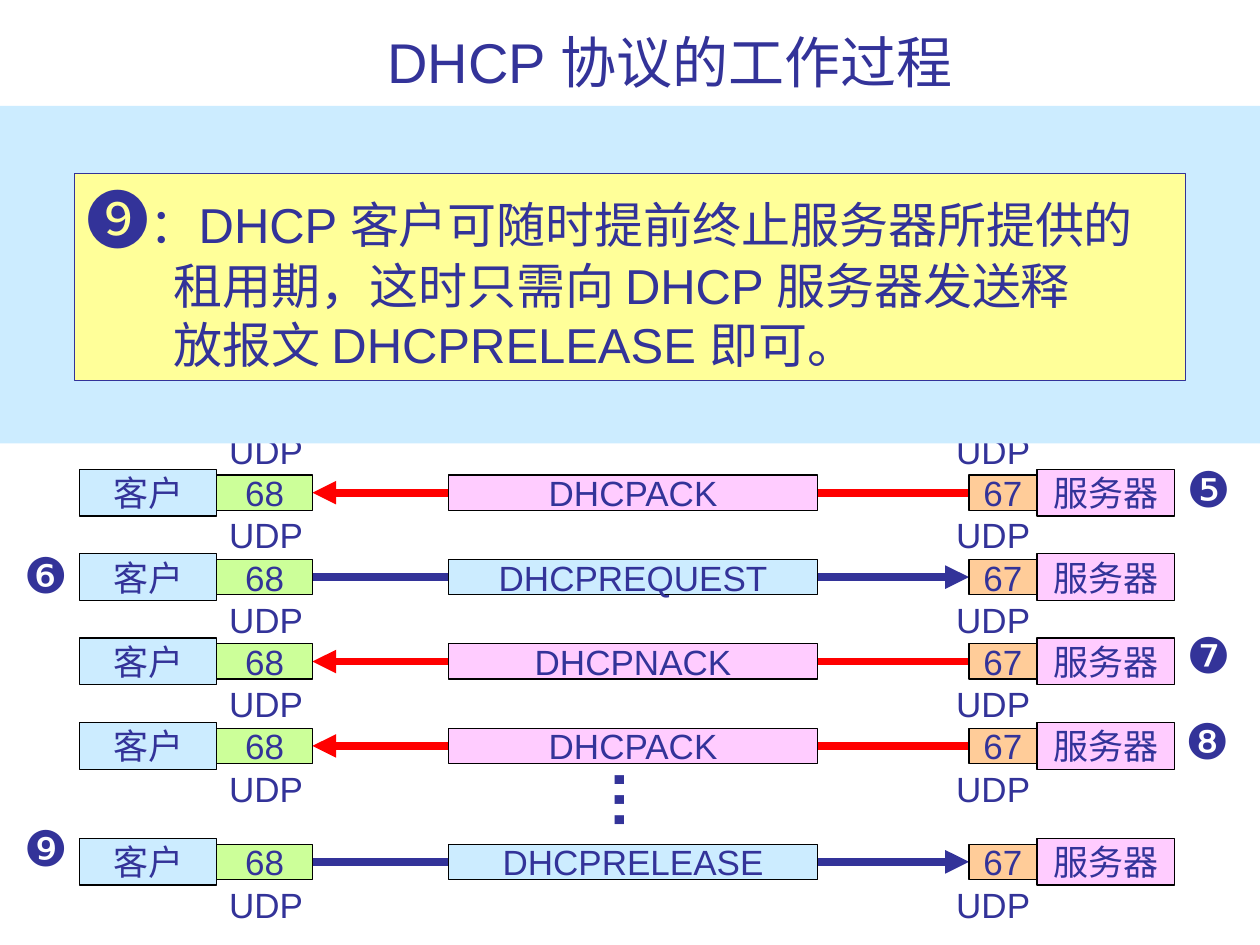
from lxml import etree
from pptx import Presentation
from pptx.dml.color import RGBColor
from pptx.enum.shapes import MSO_CONNECTOR, MSO_SHAPE
from pptx.enum.text import MSO_ANCHOR, MSO_AUTO_SIZE, PP_ALIGN
from pptx.oxml.ns import qn
from pptx.util import Inches, Pt

RECT, LINE = MSO_SHAPE.RECTANGLE, MSO_CONNECTOR.STRAIGHT
MIDDLE, BOTTOM = MSO_ANCHOR.MIDDLE, MSO_ANCHOR.BOTTOM
GROW, FIXED = MSO_AUTO_SIZE.SHAPE_TO_FIT_TEXT, MSO_AUTO_SIZE.NONE
LEFT, CENTER, JUSTIFY = PP_ALIGN.LEFT, PP_ALIGN.CENTER, PP_ALIGN.JUSTIFY

FONT = "Arial"
COLORS = {
    "ink": "333399", "black": "000000", "red": "FF0000",
    "blue": "CCECFF", "pink": "FFCCFF", "green": "CCFF99",
    "orange": "FFCC99", "yellow": "FFFF99",
}

# Centre of the row, message, whether the client sends it
ROWS = [
    (3.91, "DHCPACK", False),
    (4.58, "DHCPREQUEST", True),
    (5.25, "DHCPNACK", False),
    (5.92, "DHCPACK", False),
    (6.84, "DHCPRELEASE", True),
]
STEPS = [
    (9.32, 3.59, "❺"), (0.09, 4.27, "❻"), (9.32, 4.91, "❼"),
    (9.31, 5.59, "❽"), (0.09, 6.44, "❾"),
]
NOTE = [
    "：DHCP 客户可随时提前终止服务器所提供的",
    "租用期，这时只需向 DHCP 服务器发送释",
    "放报文 DHCPRELEASE 即可。",
]


def color(name):
    return RGBColor.from_string(COLORS[name])


def style(run, size, bold=False):
    font = run.font
    font.name, font.size, font.bold = FONT, Pt(size), bold
    font.color.rgb = color("ink")


def write(frame, text, size, align=LEFT, bold=False):
    frame.text = text
    para = frame.paragraphs[0]
    para.alignment = align
    style(para.runs[0], size, bold)


def add_label(slide, x, y, w, h, text, size, bold=False):
    box = slide.shapes.add_textbox(Inches(x), Inches(y), Inches(w), Inches(h))
    box.text_frame.word_wrap = False
    box.text_frame.auto_size = GROW
    write(box.text_frame, text, size, bold=bold)
    return box


def add_box(slide, x, y, w, h, fill, edge=None, text=None):
    box = slide.shapes.add_shape(RECT, Inches(x), Inches(y), Inches(w), Inches(h))
    box.shadow.inherit = False
    box.fill.solid()
    box.fill.fore_color.rgb = color(fill)
    if edge:
        box.line.color.rgb = color(edge)
        box.line.width = Pt(0.75)
    else:
        box.line.fill.background()
    if text:
        box.text_frame.word_wrap = False
        box.text_frame.vertical_anchor = MIDDLE
        write(box.text_frame, text, 20, CENTER)
    return box


def add_arrow(slide, start, end, y, tint):
    arrow = slide.shapes.add_connector(
        LINE, Inches(start), Inches(y), Inches(end), Inches(y))
    arrow.line.color.rgb = color(tint)
    arrow.line.width = Pt(4.5)
    etree.SubElement(arrow.line._get_or_add_ln(), qn("a:tailEnd"), type="triangle")
    etree.SubElement(arrow._element.spPr, qn("a:effectLst"))


def add_ports(slide, y):
    """Place the UDP labels below the row centred at y."""
    for x in (1.72, 7.49):
        add_label(slide, x, y + 0.12, 0.79, 0.44, "UDP", 20)


def add_row(slide, y, message, sent):
    """Place one exchange between client and server, centred at y."""
    ends = (2.48, 7.69) if sent else (7.69, 2.48)
    add_arrow(slide, *ends, y, "ink" if sent else "red")
    parts = [
        (0.63, 1.09, 0.37, "blue", "客户"),
        (3.56, 2.93, 0.28, "blue" if sent else "pink", message),
        (8.23, 1.09, 0.37, "pink", "服务器"),
        (7.69, 0.54, 0.28, "orange", "67"),
        (1.72, 0.76, 0.28, "green", "68"),
    ]
    for x, w, h, fill, text in parts:
        add_box(slide, x, y - h / 2, w, h, fill, "black", text)
    add_ports(slide, y)


def add_title(slide, x, y, w, h):
    title = slide.shapes.title
    title.left, title.top = Inches(x), Inches(y)
    title.width, title.height = Inches(w), Inches(h)
    title.text_frame.auto_size = FIXED
    title.text_frame.vertical_anchor = BOTTOM
    write(title.text_frame, "DHCP 协议的工作过程", 32, CENTER)


def add_note(slide, x, y, w, h):
    frame = add_box(slide, x, y, w, h, "yellow", "ink").text_frame
    frame.word_wrap = True
    frame.auto_size = GROW
    frame.vertical_anchor = MSO_ANCHOR.TOP
    write(frame, "❾", 36, JUSTIFY)
    run = frame.paragraphs[0].add_run()
    run.text = NOTE[0]
    style(run, 28)
    for text in NOTE[1:]:
        para = frame.add_paragraph()
        para.text = text
        para.alignment = JUSTIFY
        para._p.get_or_add_pPr().set("marL", str(Inches(0.69)))
        style(para.runs[0], 28)


def main():
    deck = Presentation()
    deck.slide_width, deck.slide_height = Inches(10), Inches(7.5)
    slide = deck.slides.add_slide(deck.slide_layouts[5])
    add_title(slide, 1.06, 0.21, 8.52, 0.59)
    add_ports(slide, 3.24)
    for row in ROWS:
        add_row(slide, *row)
    for x, y, mark in STEPS:
        add_label(slide, x, y, 0.55, 0.57, mark, 28)
    add_label(slide, 4.41, 6, 0.7, 0.7, "…", 36, bold=True).rotation = 270
    add_box(slide, 0, 0.84, 10, 2.68, "blue")
    add_note(slide, 0.59, 1.38, 8.82, 1.64)
    deck.save("out.pptx")


if __name__ == "__main__":
    main()
